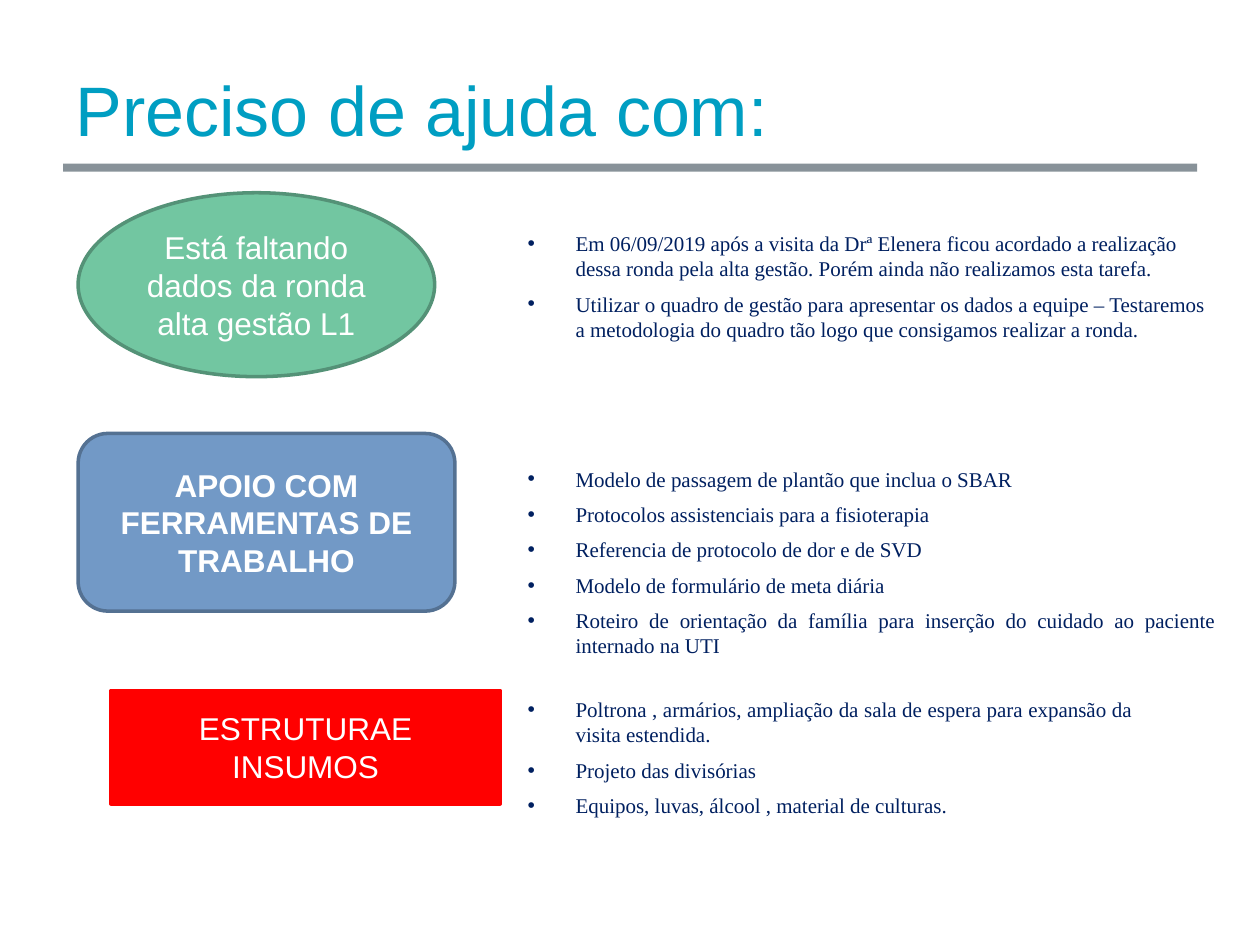
from lxml.etree import SubElement
from pptx import Presentation
from pptx.dml.color import RGBColor
from pptx.enum.shapes import MSO_CONNECTOR as Connector, MSO_SHAPE as Shape
from pptx.enum.text import MSO_ANCHOR as Anchor, PP_ALIGN as Align
from pptx.oxml.ns import qn
from pptx.util import Inches, Pt

COLORS = {
    "title": "009EC2", "rule": "455660", "list": "002060", "white": "FFFFFF",
    "green": "72C6A1", "green edge": "549277",
    "blue": "7299C6", "blue edge": "547192", "red": "FF0000",
}
LIST_LEFT = 4.09
HANGING = Inches(0.38)

# Each topic: label box, its look, then the list box and its items.
TOPICS = [
    dict(label="Está faltando dados da ronda alta gestão L1",
         kind=Shape.OVAL, box=(0.62, 1.53, 2.83, 1.46),
         fill="green", edge="green edge", bold=False,
         list_box=(LIST_LEFT, 1.78, 5.66, 1.28), align=Align.LEFT,
         items=["Em 06/09/2019 após a visita da Drª Elenera ficou acordado a realização "
                "dessa ronda pela alta gestão. Porém ainda não realizamos esta tarefa.",
                "Utilizar o quadro de gestão para apresentar os dados a equipe – Testaremos "
                "a metodologia do quadro tão logo que consigamos realizar a ronda."]),
    dict(label="APOIO COM FERRAMENTAS DE TRABALHO",
         kind=Shape.ROUNDED_RECTANGLE, box=(0.62, 3.44, 2.99, 1.41),
         fill="blue", edge="blue edge", bold=True,
         list_box=(LIST_LEFT, 3.65, 5.66, 1.65), align=Align.JUSTIFY,
         items=["Modelo de passagem de plantão que inclua o SBAR",
                "Protocolos assistenciais para a fisioterapia",
                "Referencia de protocolo de dor e de SVD",
                "Modelo de formulário de meta diária",
                "Roteiro de orientação da família para inserção do cuidado ao paciente "
                "internado na UTI"]),
    dict(label="ESTRUTURAE INSUMOS",
         kind=Shape.RECTANGLE, box=(0.88, 5.48, 3.09, 0.9),
         fill="red", edge="red", bold=False,
         list_box=(LIST_LEFT, 5.48, 5, 1.36), align=Align.JUSTIFY,
         items=["Poltrona , armários, ampliação da sala de espera para expansão da "
                "visita estendida.",
                "Projeto das divisórias",
                "Equipos, luvas, álcool , material de culturas."]),
]


def color(name):
    return RGBColor.from_string(COLORS[name])


def inches(box):
    return [Inches(length) for length in box]


def write(para, text, color_name, **font_values):
    span = para.add_run()
    span.text = text
    span.font.color.rgb = color(color_name)
    for name, value in font_values.items():
        setattr(span.font, name, value)


def add_heading(page, box):
    """Fill the title placeholder and draw the translucent rule below it."""
    title = page.shapes.title
    for name, value in zip(("left", "top", "width", "height"), inches(box)):
        setattr(title, name, value)
    title.text_frame.vertical_anchor = Anchor.MIDDLE
    para = title.text_frame.paragraphs[0]
    para.alignment = Align.LEFT
    write(para, "Preciso de ajuda com:", "title", name="Arial", size=Pt(40))

    left, top, width, height = box
    rule_top = top + height + 0.05
    rule = page.shapes.add_connector(
        Connector.STRAIGHT, *inches((left, rule_top, left + width, rule_top)))
    rule.line.width = Pt(4.5)
    rule.line.color.rgb = color("rule")
    fill = rule.line._get_or_add_ln().find(qn("a:solidFill"))
    SubElement(fill[0], qn("a:alpha"), val="64000")
    SubElement(rule._element.spPr, qn("a:effectLst"))


def add_label(page, topic):
    label = page.shapes.add_shape(topic["kind"], *inches(topic["box"]))
    label.shadow.inherit = False
    label.fill.solid()
    label.fill.fore_color.rgb = color(topic["fill"])
    label.line.color.rgb = color(topic["edge"])
    label.line.width = Pt(2)
    frame = label.text_frame
    frame.word_wrap = True
    frame.vertical_anchor = Anchor.MIDDLE
    para = frame.paragraphs[0]
    para.alignment = Align.CENTER
    write(para, topic["label"], "white", name="Arial", size=Pt(18), bold=topic["bold"])


def add_bullet(para):
    props = para._p.get_or_add_pPr()
    props.set("marL", str(HANGING))
    props.set("indent", str(-HANGING))
    SubElement(props, qn("a:buFont"), typeface="Arial")
    SubElement(props, qn("a:buChar"), char="•")


def add_list(page, topic):
    frame = page.shapes.add_textbox(*inches(topic["list_box"])).text_frame
    frame.word_wrap = True
    for index, item in enumerate(topic["items"]):
        para = frame.add_paragraph() if index else frame.paragraphs[0]
        para.alignment = topic["align"]
        para.space_before = Pt(5.8)
        add_bullet(para)
        write(para, item, "list", name="Times New Roman", size=Pt(12))


def main():
    deck = Presentation()
    deck.slide_width, deck.slide_height = inches((10, 7.5))
    page = deck.slides.add_slide(deck.slide_layouts.get_by_name("Title Only"))
    add_heading(page, (0.5, 0.45, 9, 0.83))
    for topic in TOPICS:
        add_label(page, topic)
        add_list(page, topic)
    deck.save("out.pptx")


if __name__ == "__main__":
    main()
